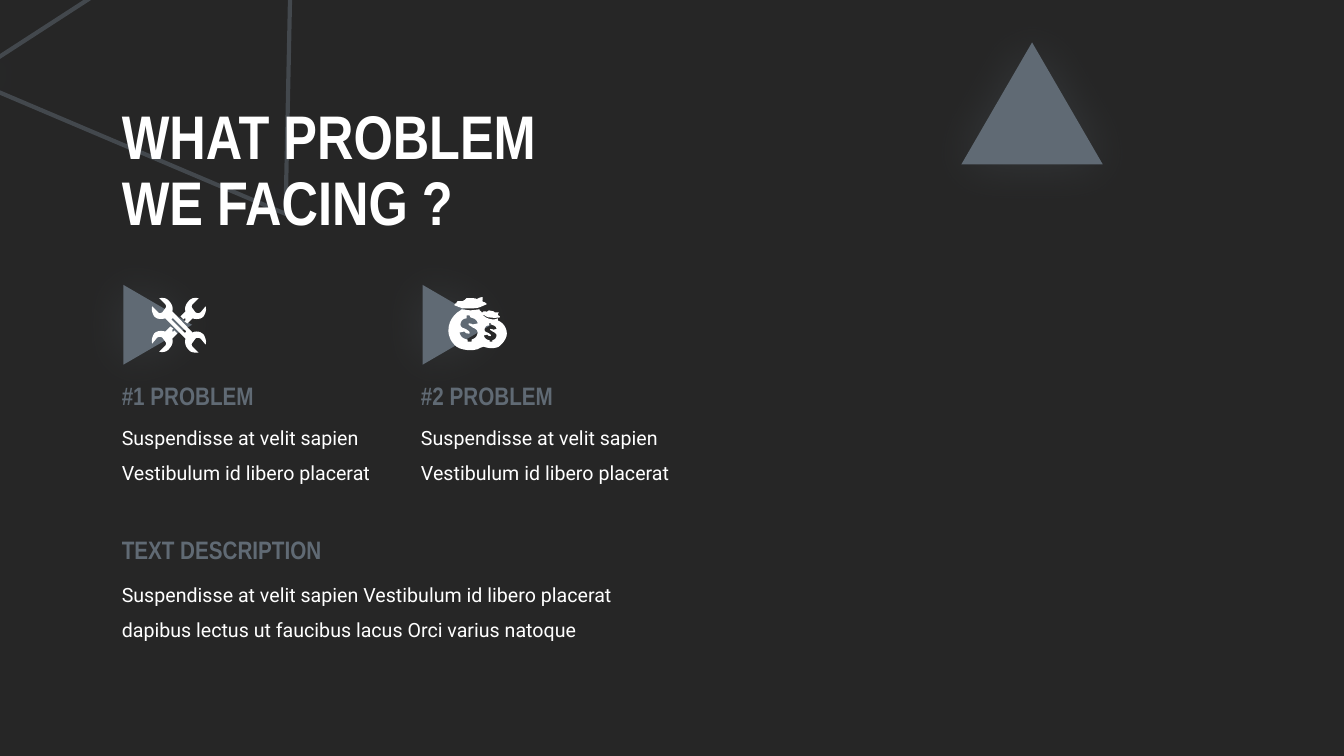
import lxml.etree
import pptx
import pptx.dml.color
import pptx.enum.shapes
import pptx.enum.text
import pptx.oxml.ns
import pptx.util
from pptx.util import Cm

COLOURS = {"background": "262626", "slate": "606A74", "white": "FFFFFF"}
HEADING_FONT, BODY_FONT = "Arial Narrow", "Roboto"
LEFT_MARGIN = 2.82
COLUMN_STEP = 7.54
UNITS_PER_INCH = 100  # icon outlines; finer detail is kept by DETAIL
DETAIL = 10

# Outline points: (x, y) ends a straight line, six numbers end a Bezier curve.
WRENCH_END = [
    (32, 22), (33, 21), (34, 21), (34, 23), (33, 24), (36, 26), (41, 21),
    (45, 22, 49, 22, 52, 19), (54, 16, 55, 12, 54, 9), (49, 15),
    (47, 16, 46, 16, 44, 15), (41, 11), (40, 10, 40, 8, 41, 7), (47, 1),
    (43, 0, 39, 1, 37, 4), (34, 7, 33, 11, 34, 14), (29, 19)]
WRENCH = [
    (52, 37), (49, 34, 45, 33, 41, 35), (21, 14), (22, 11, 21, 7, 18, 4),
    (16, 1, 12, 0, 8, 1), (14, 7), (15, 8, 15, 10, 14, 11), (11, 15),
    (9, 16, 8, 16, 7, 15), (1, 9), (0, 12, 1, 16, 3, 19),
    (6, 22, 10, 22, 14, 21), (34, 41), (33, 45, 34, 49, 37, 52),
    (39, 55, 43, 55, 47, 55), (41, 49), (40, 48, 40, 46, 41, 45), (44, 41),
    (45, 40, 47, 40, 49, 41), (54, 47), (55, 44, 54, 40, 52, 37)]
WRENCH_SLOT = [
    (34, 35), (33, 35), (21, 23), (20, 22, 20, 22, 21, 21), (22, 21),
    (34, 33), (35, 33, 35, 34, 34, 35)]
BAGS = [
    (49, 23), (49, 21), (48, 21, 47, 22, 45, 22), (39, 22, 35, 19, 34, 17),
    (36, 18, 39, 20, 40, 20), (41, 20), (44, 21, 51, 20, 51, 20), (51, 19),
    (50, 18, 49, 18, 49, 17), (50, 15), (49, 15), (46, 15), (45, 14),
    (44, 14, 41, 13, 40, 13), (39, 14, 38, 15, 37, 14), (36, 14), (35, 14),
    (34, 15), (33, 15), (33, 14, 32, 14, 31, 13), (31, 12),
    (29, 12, 25, 13, 22, 13), (19, 13, 15, 12, 13, 12), (12, 13),
    (5, 17, 0, 24, 0, 33), (0, 39, 3, 45, 8, 49), (13, 53, 27, 54, 32, 50),
    (35, 49), (39, 51, 47, 51, 50, 49), (54, 46, 58, 41, 58, 36),
    (58, 30, 54, 25, 49, 23)]
DOLLAR = [
    (23, 42), (23, 44), (19, 44), (19, 42), (14, 41, 12, 39, 11, 35), (16, 34),
    (17, 36, 19, 36, 20, 36), (21, 36, 21, 36, 21, 35),
    (21, 34, 20, 33, 16, 31), (13, 30, 12, 29, 12, 27),
    (12, 24, 14, 21, 18, 21), (18, 18), (21, 18), (22, 20),
    (26, 21, 29, 23, 29, 26), (24, 27), (24, 27, 23, 26, 21, 26),
    (20, 26, 20, 26, 20, 27), (20, 28, 22, 28, 24, 30),
    (27, 31, 29, 33, 29, 35), (29, 38, 27, 41, 23, 42)]
BAG_TIE = [
    (14, 11), (16, 11, 19, 11, 21, 11), (25, 11, 28, 11, 31, 10), (38, 7),
    (38, 7, 38, 6, 36, 5), (35, 5, 33, 4, 34, 3), (34, 2, 34, 1, 34, 0),
    (33, 0), (31, 0, 28, 2, 28, 2), (28, 2, 28, 1, 25, 1), (18, 1),
    (17, 2, 15, 4, 13, 4), (9, 4), (8, 5, 8, 6, 8, 6), (8, 6, 6, 6, 6, 8),
    (11, 10, 14, 11, 14, 11)]


def rgb(name):
    return pptx.dml.color.RGBColor.from_string(COLOURS[name])


def add_element(parent, tag, **attributes):
    element = lxml.etree.SubElement(parent, pptx.oxml.ns.qn(tag))
    for name, value in attributes.items():
        element.set(name, str(value))
    return element


def add_text(slide, text, left, top, width, height, *, font, size, colour="white",
             bold=False, spacing=None, anchor="TOP"):
    box = slide.shapes.add_textbox(Cm(left), Cm(top), Cm(width), Cm(height))
    frame = box.text_frame
    frame.word_wrap = True
    frame.vertical_anchor = getattr(pptx.enum.text.MSO_ANCHOR, anchor)
    paragraph = frame.paragraphs[0]
    paragraph.text = text
    paragraph.line_spacing = spacing
    for run in paragraph.runs:
        run.font.name = font
        run.font.size = pptx.util.Pt(size)
        run.font.bold = bold
        run.font.color.rgb = rgb(colour)


def add_heading(slide, text, left, top, width):
    add_text(slide, text, left, top, width, 1.02, font=HEADING_FONT, size=18,
             colour="slate", bold=True)


def add_body(slide, text, left, top, width):
    add_text(slide, text, left, top, width, 1.96, font=BODY_FONT, size=14, spacing=1.5)


def add_triangle(slide, left, top, width, height, rotation=0, outlined=False):
    """Add a glowing triangle, either solid or as a half-transparent outline."""
    shape = slide.shapes.add_shape(pptx.enum.shapes.MSO_SHAPE.ISOSCELES_TRIANGLE,
                                   Cm(left), Cm(top), Cm(width), Cm(height))
    shape.rotation = rotation
    if outlined:
        shape.fill.background()
        shape.line.width = pptx.util.Pt(3)
        shape.line.color.rgb = rgb("slate")
        line_colour = shape.line._ln.find(".//" + pptx.oxml.ns.qn("a:srgbClr"))
        add_element(line_colour, "a:alpha", val=50000)
    else:
        shape.fill.solid()
        shape.fill.fore_color.rgb = rgb("slate")
        shape.line.fill.background()
    shape.shadow.inherit = False
    effects = shape._element.spPr.find(pptx.oxml.ns.qn("a:effectLst"))
    glow = add_element(effects, "a:outerShdw", blurRad=pptx.util.Pt(35), dist=0, dir=0,
                       algn="ctr", rotWithShape=0)
    add_element(add_element(glow, "a:srgbClr", val=COLOURS["slate"]), "a:alpha", val=25000)


def flatten(outline, steps=6):
    """Turn lines and Bezier curves into a list of plain points."""
    points = [outline[0]]
    for segment in outline[1:]:
        if len(segment) == 2:
            points.append(segment)
            continue
        controls = [points[-1], segment[:2], segment[2:4], segment[4:]]
        for step in range(1, steps + 1):
            t = step / steps
            weights = ((1 - t) ** 3, 3 * t * (1 - t) ** 2, 3 * t * t * (1 - t), t ** 3)
            points.append(tuple(sum(weight * control[axis]
                                    for weight, control in zip(weights, controls))
                                for axis in (0, 1)))
    return points


def transform(points, factor, shift_x, shift_y):
    return [(factor * x + shift_x, factor * y + shift_y) for x, y in points]


def add_icon(slide, left, top, parts):
    """Add a white icon; each part is a list of contours, the later ones being holes."""
    group = slide.shapes.add_group_shape()
    for contours in parts:
        first, *holes = [transform(points, DETAIL, 0, 0) for points in contours]
        builder = group.shapes.build_freeform(
            *first[0], scale=Cm(2.54) / (UNITS_PER_INCH * DETAIL))
        builder.add_line_segments(first[1:], close=True)
        for hole in holes:
            builder.move_to(*hole[0])
            builder.add_line_segments(hole[1:], close=True)
        shape = builder.convert_to_shape(Cm(left), Cm(top))
        shape.fill.solid()
        shape.fill.fore_color.rgb = rgb("white")
        shape.line.fill.background()
        shape.shadow.inherit = False


def main():
    presentation = pptx.Presentation()
    presentation.slide_width, presentation.slide_height = Cm(33.87), Cm(19.05)
    slide = presentation.slides.add_slide(presentation.slide_layouts[6])
    slide.background.fill.solid()
    slide.background.fill.fore_color.rgb = rgb("background")

    add_triangle(slide, 0.33, -1.27, 9.8, 7.24, rotation=147.1, outlined=True)
    add_text(slide, "WHAT PROBLEM\vWE FACING ?", LEFT_MARGIN, 2.34, 14.27, 4.01,
             font=HEADING_FONT, size=44, bold=True, spacing=0.9, anchor="MIDDLE")
    add_triangle(slide, 24.23, 1.07, 3.56, 3.07)

    wrench_end, dollar = flatten(WRENCH_END), flatten(DOLLAR)
    wrenches = [[wrench_end], [transform(wrench_end, -1, 55, 55)],
                [flatten(WRENCH), flatten(WRENCH_SLOT)]]
    money_bags = [[flatten(BAGS), dollar, transform(dollar, 0.7, 27.5, 13.3)],
                  [flatten(BAG_TIE)]]
    problems = [("#1 PROBLEM", wrenches, 3.81), ("#2 PROBLEM", money_bags, 11.3)]
    for column, (heading, icon, icon_left) in enumerate(problems):
        offset = column * COLUMN_STEP
        add_triangle(slide, 2.97 + offset, 7.32, 2.01, 1.73, rotation=90)
        add_body(slide, "Suspendisse at velit sapien Vestibulum id libero placerat",
                 LEFT_MARGIN + offset, 10.31, 6.83)
        add_heading(slide, heading, LEFT_MARGIN + offset, 9.45, 5.61)
        add_icon(slide, icon_left, 7.49, icon)

    add_body(slide, "Suspendisse at velit sapien Vestibulum id libero placerat "
             "dapibus lectus ut faucibus lacus Orci varius natoque",
             LEFT_MARGIN, 14.27, 13.03)
    add_heading(slide, "TEXT DESCRIPTION", LEFT_MARGIN, 13.34, 6.22)
    presentation.save("out.pptx")


if __name__ == "__main__":
    main()
